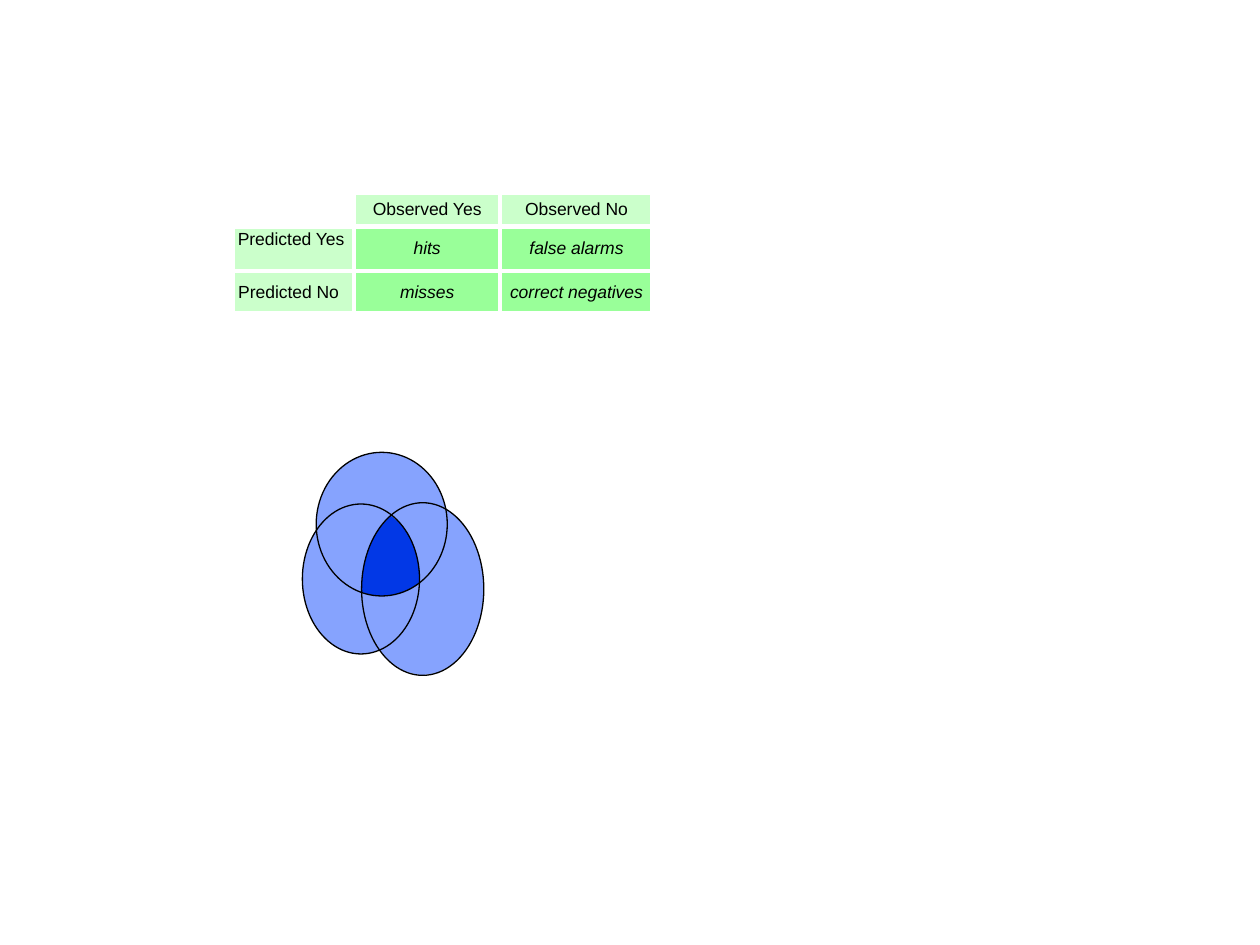
from dataclasses import dataclass
from math import atan2, cos, hypot, pi, sin, sqrt
from typing import Callable

from lxml import etree
from pptx import Presentation
from pptx.dml.color import RGBColor
from pptx.enum.shapes import MSO_SHAPE
from pptx.enum.text import MSO_ANCHOR, PP_ALIGN
from pptx.oxml.ns import qn
from pptx.util import Inches, Pt

OVAL = MSO_SHAPE.OVAL
TOP, MIDDLE = MSO_ANCHOR.TOP, MSO_ANCHOR.MIDDLE
CENTER = PP_ALIGN.CENTER

WHITE = RGBColor(0xFF, 0xFF, 0xFF)
BLACK = RGBColor(0x00, 0x00, 0x00)
GREEN = RGBColor(0x99, 0xFF, 0x99)
LIGHT_BLUE = RGBColor(0x86, 0xA3, 0xFE)
DARK_BLUE = RGBColor(0x02, 0x38, 0xE6)

COLUMN_WIDTHS = (0.96, 1.16, 1.21)
ROW_HEIGHTS = (0.27, 0.35, 0.34)
CONTINGENCY = (
    ("", "Observed Yes", "Observed No"),
    ("Predicted Yes", "hits", "false alarms"),
    ("Predicted No", "misses", "correct negatives"),
)
CELL_MARGINS = {f"margin_{side}": Inches(0.02) for side in ("left", "right", "top", "bottom")}
ROW_LABEL_RIGHT_MARGINS = {1: 0.06, 2: 0.1}
FONT_FORMAT = {"name": "Arial", "size": Pt(10)}
BORDER_WIDTH = Pt(3)


@dataclass(frozen=True)
class Ellipse:
    left: float
    top: float
    width: float
    height: float

    def distance_to_edge(self, x: float, y: float, angle: float) -> float:
        """Distance from an inner point to the outline in one direction."""
        radius_x, radius_y = self.width / 2, self.height / 2
        offset_x = (x - self.left - radius_x) / radius_x
        offset_y = (y - self.top - radius_y) / radius_y
        step_x, step_y = cos(angle) / radius_x, sin(angle) / radius_y
        a = step_x**2 + step_y**2
        b = offset_x * step_x + offset_y * step_y
        c = hypot(offset_x, offset_y) ** 2 - 1
        return (sqrt(b * b - a * c) - b) / a


@dataclass(frozen=True)
class Region:
    choose: Callable[..., float]  # max gives the union, min the intersection
    corners: tuple[tuple[float, float], ...]
    steps_per_arc: int
    color: RGBColor


ELLIPSES = (
    Ellipse(2.4, 4, 0.93, 1.19),
    Ellipse(2.51, 3.59, 1.04, 1.14),
    Ellipse(2.87, 3.99, 0.97, 1.37),
)
SHARED_POINT = (3.1, 4.45)  # lies inside all three ellipses
REGIONS = (
    Region(max, ((2.51, 4.21), (3.54, 4.05), (3.01, 5.17)), 19, LIGHT_BLUE),
    Region(min, ((3.1, 4.09), (3.33, 4.63), (2.87, 4.7)), 8, DARK_BLUE),
)


def add_borders(cell) -> None:
    properties = cell._tc.get_or_add_tcPr()
    for index, tag in enumerate(("a:lnL", "a:lnR", "a:lnT", "a:lnB")):
        line = etree.Element(qn(tag), w=str(BORDER_WIDTH))
        fill = etree.SubElement(line, qn("a:solidFill"))
        etree.SubElement(fill, qn("a:srgbClr"), val=str(WHITE))
        properties.insert(index, line)


def format_cell(cell, text: str, row: int, column: int) -> None:
    is_header = row == 0 or column == 0
    for name, value in CELL_MARGINS.items():
        setattr(cell, name, value)
    cell.vertical_anchor = MIDDLE
    cell.fill.solid()
    cell.fill.fore_color.rgb = GREEN if text else WHITE
    if text and is_header:
        color = cell._tc.tcPr.find(".//" + qn("a:srgbClr"))
        etree.SubElement(color, qn("a:alpha"), val="50000")
    add_borders(cell)

    paragraph = cell.text_frame.paragraphs[0]
    if not text:
        paragraph._p.get_or_add_endParaRPr().set("sz", "1000")
        return
    paragraph.alignment = CENTER
    paragraph.space_before = Pt(2)
    run = paragraph.add_run()
    run.text = text
    for name, value in FONT_FORMAT.items():
        setattr(run.font, name, value)
    run.font.italic = not is_header
    run.font.color.rgb = BLACK


def add_contingency_table(slide) -> None:
    table = slide.shapes.add_table(
        len(ROW_HEIGHTS), len(COLUMN_WIDTHS), Inches(1.85), Inches(1.53),
        Inches(sum(COLUMN_WIDTHS)), Inches(sum(ROW_HEIGHTS)),
    ).table
    table.first_row = table.horz_banding = False
    for column, width in zip(table.columns, COLUMN_WIDTHS):
        column.width = Inches(width)
    for row, height in zip(table.rows, ROW_HEIGHTS):
        row.height = Inches(height)
    for row, texts in enumerate(CONTINGENCY):
        for column, text in enumerate(texts):
            format_cell(table.cell(row, column), text, row, column)
    for row, margin in ROW_LABEL_RIGHT_MARGINS.items():
        table.cell(row, 0).margin_right = Inches(margin)
    table.cell(1, 0).vertical_anchor = TOP


def add_region(slide, region: Region) -> None:
    """Trace the outline around the shared point, arc by arc."""
    x, y = SHARED_POINT
    corner_angles = [atan2(corner_y - y, corner_x - x) for corner_x, corner_y in region.corners]
    points = []
    for start, end in zip(corner_angles, corner_angles[1:] + corner_angles[:1]):
        sweep = (end - start) % (2 * pi)
        for step in range(region.steps_per_arc):
            angle = start + sweep * step / region.steps_per_arc
            reach = region.choose(ellipse.distance_to_edge(x, y, angle) for ellipse in ELLIPSES)
            points.append((Inches(x + reach * cos(angle)), Inches(y + reach * sin(angle))))
    builder = slide.shapes.build_freeform(*points[0])
    builder.add_line_segments(points[1:], close=True)
    shape = builder.convert_to_shape()
    shape.shadow.inherit = False
    shape.fill.solid()
    shape.fill.fore_color.rgb = region.color
    shape.line.fill.background()


def add_ellipse(slide, ellipse: Ellipse) -> None:
    bounds = (ellipse.left, ellipse.top, ellipse.width, ellipse.height)
    shape = slide.shapes.add_shape(OVAL, *map(Inches, bounds))
    shape.shadow.inherit = False
    shape.fill.background()
    shape.line.color.rgb = BLACK
    shape.line.width = Pt(0.75)


def main() -> None:
    presentation = Presentation()
    presentation.slide_width, presentation.slide_height = Inches(10), Inches(7.5)
    slide = presentation.slides.add_slide(presentation.slide_layouts[6])

    # Contingency table
    add_contingency_table(slide)

    # Venn diagram: fills below, outlines on top
    for region in REGIONS:
        add_region(slide, region)
    for ellipse in ELLIPSES:
        add_ellipse(slide, ellipse)

    presentation.save("out.pptx")


if __name__ == "__main__":
    main()
